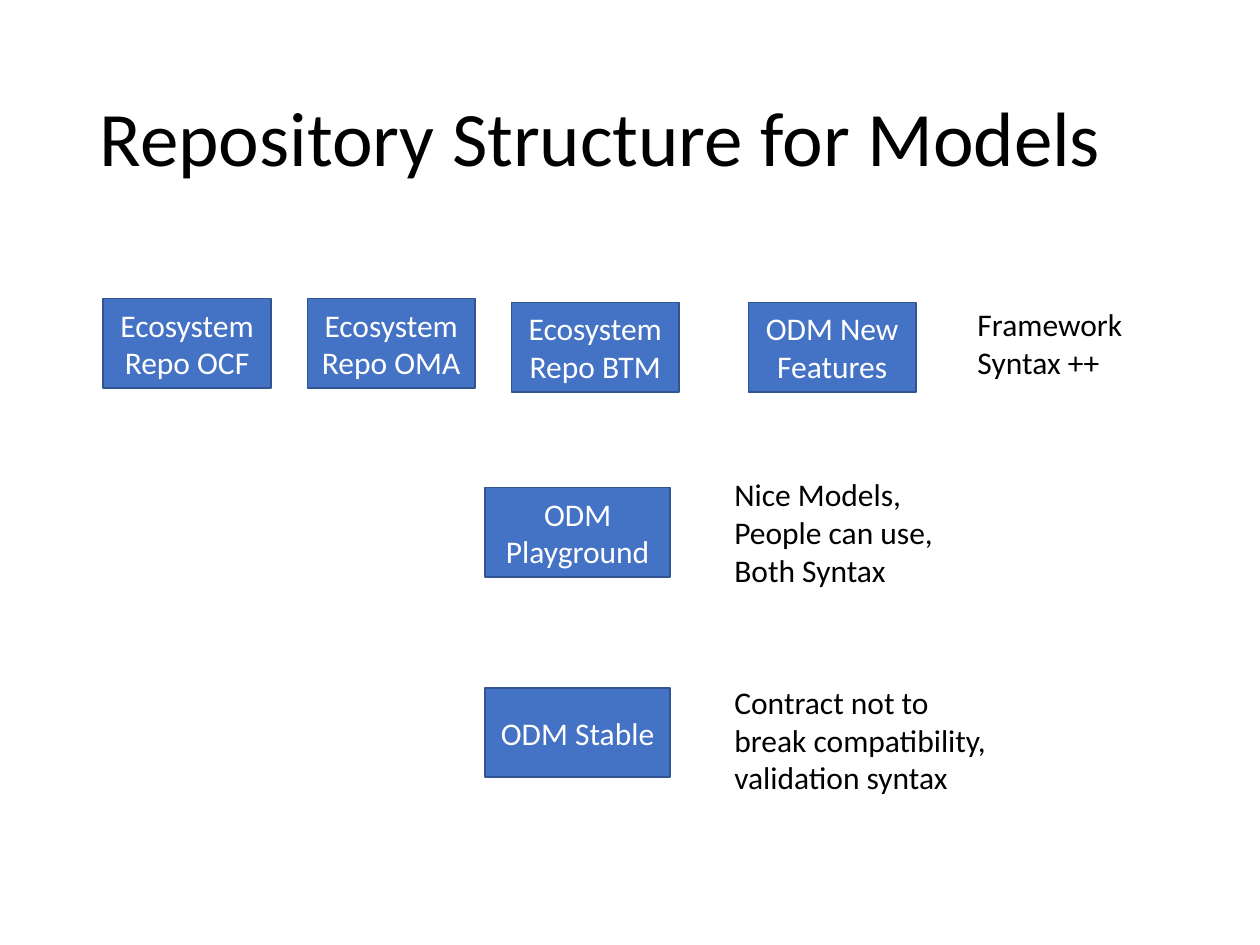
from dataclasses import dataclass
from pptx import Presentation
from pptx.dml.color import RGBColor
from pptx.enum.shapes import MSO_SHAPE
from pptx.enum.text import MSO_ANCHOR, PP_ALIGN
from pptx.util import Inches, Pt


@dataclass(frozen=True)
class Theme:
    font: str = "Calibri"
    title_size: int = 44
    text_size: int = 18
    fill: str = "4472C4"
    border: str = "325491"
    light: str = "FFFFFF"
    dark: str = "000000"


THEME = Theme()
TITLE = "Repository Structure for Models"
ECOSYSTEMS = [("Ecosystem Repo OCF", 2.37), ("Ecosystem Repo OMA", 2.37), ("Ecosystem Repo BTM", 2.4)]
NEW_FEATURES = "ODM New Features"
STAGES = ["ODM Playground", "ODM Stable"]
NOTES = [
    ("Framework Syntax ++", 7.66, 2.37, 1.93, 0.71),
    ("Nice Models, People can use, Both Syntax", 5.73, 3.72, 1.93, 1.01),
    ("Contract not to break compatibility, validation syntax", 5.73, 5.37, 2.22, 1.01),
]

BOX_HEIGHT = 0.71
REPO_LEFT, REPO_WIDTH, REPO_PITCH = 0.82, 1.33, 1.62
FEATURES_LEFT, FEATURES_TOP = 5.94, 2.4
STAGE_LEFT, STAGE_WIDTH = 3.85, 1.47
STAGE_TOP, STAGE_PITCH = 3.87, 1.59


def write(shape, text, size, color, align, anchor):
    frame = shape.text_frame
    frame.word_wrap = True
    frame.vertical_anchor = anchor
    paragraph = frame.paragraphs[0]
    paragraph.text = text
    paragraph.alignment = align
    paragraph.font.name = THEME.font
    paragraph.font.size = Pt(size)
    paragraph.font.color.rgb = RGBColor.from_string(color)
    return paragraph


def add_box(slide, text, left, top, width):
    shape = slide.shapes.add_shape(
        MSO_SHAPE.RECTANGLE, Inches(left), Inches(top), Inches(width), Inches(BOX_HEIGHT))
    shape.shadow.inherit = False
    shape.fill.solid()
    shape.fill.fore_color.rgb = RGBColor.from_string(THEME.fill)
    shape.line.color.rgb = RGBColor.from_string(THEME.border)
    shape.line.width = Pt(1)
    write(shape, text, THEME.text_size, THEME.light, PP_ALIGN.CENTER, MSO_ANCHOR.MIDDLE)


def add_note(slide, text, *bounds):
    shape = slide.shapes.add_textbox(*map(Inches, bounds))
    write(shape, text, THEME.text_size, THEME.dark, PP_ALIGN.LEFT, MSO_ANCHOR.TOP)


def add_title(slide):
    title = slide.shapes.title
    title.left, title.top, title.width, title.height = map(Inches, (0.69, 0.4, 8.62, 1.45))
    paragraph = write(title, TITLE, THEME.title_size, THEME.dark, PP_ALIGN.LEFT, MSO_ANCHOR.MIDDLE)
    paragraph.line_spacing = 0.9


def main():
    presentation = Presentation()
    presentation.slide_width, presentation.slide_height = Inches(10), Inches(7.5)
    slide = presentation.slides.add_slide(presentation.slide_layouts[5])
    add_title(slide)
    for column, (text, top) in enumerate(ECOSYSTEMS):
        add_box(slide, text, REPO_LEFT + column * REPO_PITCH, top, REPO_WIDTH)
    add_box(slide, NEW_FEATURES, FEATURES_LEFT, FEATURES_TOP, REPO_WIDTH)
    for row, text in enumerate(STAGES):
        add_box(slide, text, STAGE_LEFT, STAGE_TOP + row * STAGE_PITCH, STAGE_WIDTH)
    for note in NOTES:
        add_note(slide, *note)
    presentation.save("out.pptx")


if __name__ == "__main__":
    main()
